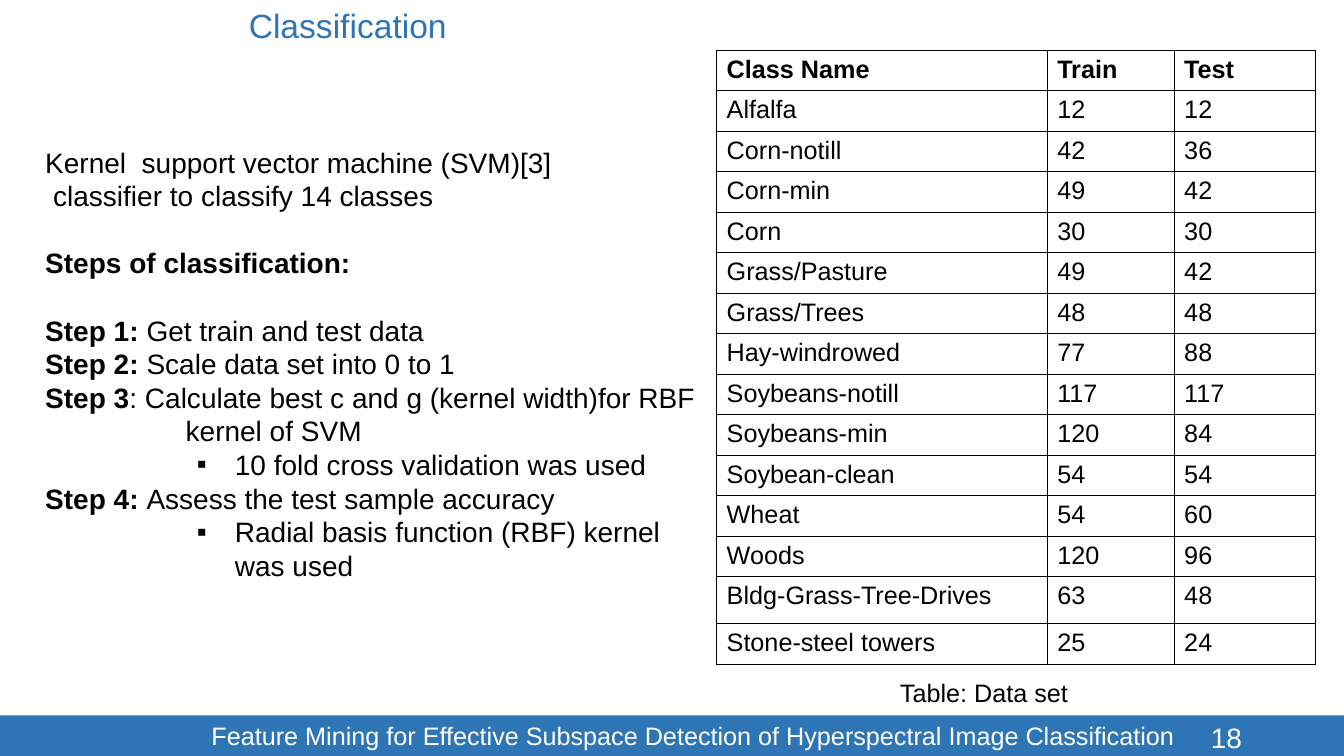
"""Build the Classification slide with its steps and its data set table."""
from lxml.etree import SubElement
from pptx import Presentation
from pptx.dml.color import RGBColor
from pptx.enum.shapes import MSO_SHAPE as SHAPE
from pptx.enum.text import MSO_ANCHOR as ANCHOR, PP_ALIGN as ALIGN
from pptx.oxml.ns import qn
from pptx.util import Cm, Pt

BLUE, WHITE, BLACK = "2E75B6", "FFFFFF", "000000"

BARS = [
    ("Classification", (0.46, 0, 17.35, 1.27), WHITE, BLUE, 24, 5.56),
    ("Feature Mining for Effective Subspace Detection of Hyperspectral "
     "Image Classification", (0, 18.03, 33.87, 1.02), BLUE, WHITE, 18, 5.08),
]

# (bold text, plain text, indent in cm, bullet, blank space above in pt)
STEPS = [
    ("", "Kernel  support vector machine (SVM)[3]", 0, "", 0),
    ("", "classifier to classify 14 classes", 0.2, "", 0),
    ("Steps of classification:", "", 0, "", 24),
    ("Step 1: ", "Get train and test data", 0, "", 24),
    ("Step 2: ", "Scale data set into 0 to 1", 0, "", 0),
    ("Step 3", ": Calculate best c and g (kernel width)for RBF", 0, "", 0),
    ("", "kernel of SVM", 3.54, "", 0),
    ("", "10 fold cross validation was used", 4.78, "▪", 0),
    ("Step 4: ", "Assess the test sample accuracy", 0, "", 0),
    ("", "Radial basis function (RBF) kernel", 4.78, "▪", 0),
    ("", "was used", 4.78, "", 0),
]

CLASSES = [
    ("Class Name", "Train", "Test"),
    ("Alfalfa", 12, 12),
    ("Corn-notill", 42, 36),
    ("Corn-min", 49, 42),
    ("Corn", 30, 30),
    ("Grass/Pasture", 49, 42),
    ("Grass/Trees", 48, 48),
    ("Hay-windrowed", 77, 88),
    ("Soybeans-notill", 117, 117),
    ("Soybeans-min", 120, 84),
    ("Soybean-clean", 54, 54),
    ("Wheat", 54, 60),
    ("Woods", 120, 96),
    ("Bldg-Grass-Tree-Drives", 63, 48),
    ("Stone-steel towers", 25, 24),
]
COL_WIDTHS = (8.33, 3.2, 3.56)
ROW_HEIGHT, TALL_ROW, TALL_HEIGHT = 1.02, 13, 1.19


def color(target, value):
    target.rgb = RGBColor.from_string(value)


def fill(target, value):
    target.fill.solid()
    color(target.fill.fore_color, value)


def write(p, text, size, value=BLACK, bold=False):
    r = p.add_run()
    r.text = str(text)
    for key, val in {"name": "Arial", "size": Pt(size), "bold": bold}.items():
        setattr(r.font, key, val)
    color(r.font.color, value)


def indent(p, left, hanging=0):
    pPr = p._p.get_or_add_pPr()
    pPr.set("marL", str(Cm(left)))
    pPr.set("indent", str(-Cm(hanging)))
    return pPr


def text_box(s, box, wrap=True, anchor=ANCHOR.TOP):
    tf = s.shapes.add_textbox(*map(Cm, box)).text_frame
    tf.word_wrap, tf.vertical_anchor = wrap, anchor
    return tf


def add_bar(s, text, box, back, front, size, left):
    sp = s.shapes.add_shape(SHAPE.RECTANGLE, *map(Cm, box))
    sp.shadow.inherit = False
    fill(sp, back)
    sp.line.fill.background()
    sp.text_frame.vertical_anchor = ANCHOR.MIDDLE
    p = sp.text_frame.paragraphs[0]
    p.alignment = ALIGN.LEFT
    indent(p, left)
    write(p, text, size, front)


def add_border(cell):
    tcPr = cell._tc.get_or_add_tcPr()
    for i, side in enumerate(("lnL", "lnR", "lnT", "lnB")):
        ln = tcPr.makeelement(qn("a:" + side), {"w": str(Pt(1))})
        tcPr.insert(i, ln)
        solid = SubElement(ln, qn("a:solidFill"))
        SubElement(solid, qn("a:srgbClr"), val=BLACK)


def add_classes(s):
    heights = [TALL_HEIGHT if i == TALL_ROW else ROW_HEIGHT
               for i in range(len(CLASSES))]
    box = (18.06, 1.27, sum(COL_WIDTHS), sum(heights))
    table = s.shapes.add_table(len(CLASSES), len(COL_WIDTHS),
                               *map(Cm, box)).table
    table.first_row = table.horz_banding = False
    for col, width in zip(table.columns, COL_WIDTHS):
        col.width = Cm(width)
    for i, (row, values) in enumerate(zip(table.rows, CLASSES)):
        row.height = Cm(heights[i])
        for cell, value in zip(row.cells, values):
            fill(cell, WHITE)
            add_border(cell)
            write(cell.text_frame.paragraphs[0], value, 18, bold=i == 0)


def add_steps(s):
    tf = text_box(s, (0.89, 3.53, 17.3, 12.22))
    for i, (strong, plain, left, bullet, above) in enumerate(STEPS):
        p = tf.add_paragraph() if i else tf.paragraphs[0]
        p.line_spacing, p.space_before = Pt(24), Pt(above)
        pPr = indent(p, left, 0.96 if bullet else 0)
        if bullet:
            SubElement(pPr, qn("a:buFont"), typeface="Arial")
            SubElement(pPr, qn("a:buChar"), char=bullet)
        for text, bold in ((strong, True), (plain, False)):
            if text:
                write(p, text, 20, bold=bold)


def main():
    prs = Presentation()
    prs.slide_width, prs.slide_height = Cm(33.87), Cm(19.05)
    s = prs.slides.add_slide(prs.slide_layouts[6])
    for bar in BARS:
        add_bar(s, *bar)
    add_classes(s)
    caption = text_box(s, (22.43, 16.94, 4.78, 1.02), wrap=False)
    write(caption.paragraphs[0], "Table: Data set", 18)
    add_steps(s)
    number = text_box(s, (23.93, 18.06, 7.62, 1.02), anchor=ANCHOR.MIDDLE)
    number.paragraphs[0].alignment = ALIGN.RIGHT
    write(number.paragraphs[0], "18", 20, WHITE)
    prs.save("out.pptx")


if __name__ == "__main__":
    main()
